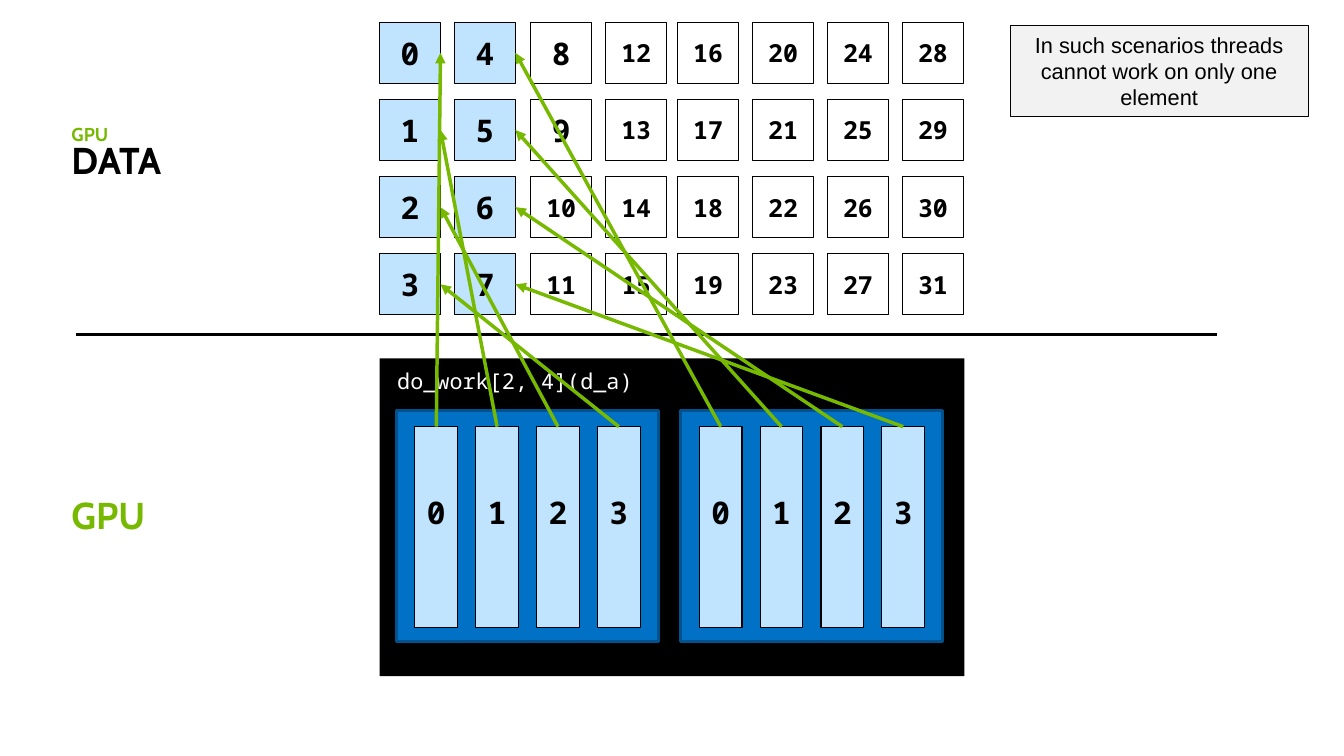
from dataclasses import dataclass

from lxml.etree import SubElement
from pptx import Presentation
from pptx.dml.color import RGBColor
from pptx.enum.shapes import MSO_CONNECTOR, MSO_SHAPE
from pptx.enum.text import MSO_ANCHOR, PP_ALIGN
from pptx.oxml.ns import qn
from pptx.util import Cm, Pt


@dataclass(frozen=True)
class Theme:
    black: str = "000000"
    white: str = "FFFFFF"
    green: str = "76B900"
    sky: str = "C0E3FE"
    blue: str = "0071C5"
    navy: str = "00528F"
    grey: str = "F2F2F2"
    mono: str = "Noto Sans Mono"
    head: str = "Cabin"
    sans: str = "Arial"
    small: int = 12
    body: int = 14
    mid: int = 16
    big: int = 20
    large: int = 24


THEME = Theme()
ROWS = 4
PAIRS = (8.61, 12.04, 15.37, 18.77)  # left edges of the column pairs
BLOCKS = (8.99, 15.44)  # left edges of the thread blocks


def write(shape, text, font, size, color, bold=False,
          align=PP_ALIGN.CENTER, anchor=MSO_ANCHOR.MIDDLE):
    frame = shape.text_frame
    frame.text = text
    frame.word_wrap = True
    frame.vertical_anchor = anchor
    para = frame.paragraphs[0]
    para.alignment = align
    for run in para.runs:
        run.font.name = font
        run.font.size = Pt(size)
        run.font.bold = bold
        run.font.color.rgb = RGBColor.from_string(color)
    return para


def add_box(slide, left, top, width, height, fill, line=None, weight=0.75):
    box = slide.shapes.add_shape(
        MSO_SHAPE.RECTANGLE, Cm(left), Cm(top), Cm(width), Cm(height))
    box.shadow.inherit = False
    box.fill.solid()
    box.fill.fore_color.rgb = RGBColor.from_string(fill)
    if line:
        box.line.color.rgb = RGBColor.from_string(line)
        box.line.width = Pt(weight)
    else:
        box.line.fill.background()
    return box


def add_digit(box, num, size, lift=0):
    """Centre a number in a box, raised by the bottom inset."""
    frame = box.text_frame
    frame.margin_left = frame.margin_right = frame.margin_top = 0
    frame.margin_bottom = Cm(lift)
    write(box, str(num), THEME.mono, size, THEME.black, bold=True)


def add_label(slide, top, height, text, size, color):
    box = slide.shapes.add_textbox(Cm(1.37), Cm(top), Cm(2.8), Cm(height))
    para = write(box, text, THEME.head, size, color, True,
                 PP_ALIGN.LEFT, MSO_ANCHOR.BOTTOM)
    para.line_spacing = 0.9


def add_line(slide, color, weight, ends=(0, 0, 0, 0)):
    line = slide.shapes.add_connector(
        MSO_CONNECTOR.STRAIGHT, *(Cm(end) for end in ends))
    line.line.color.rgb = RGBColor.from_string(color)
    line.line.width = Pt(weight)
    SubElement(line._element.spPr, qn("a:effectLst"))
    return line


def add_arrow(slide, bar, cell):
    arrow = add_line(slide, THEME.green, 2.25)
    arrow.begin_connect(bar, 0)
    arrow.end_connect(cell, 3)
    SubElement(arrow.line._get_or_add_ln(), qn("a:tailEnd"), type="triangle")


def add_cells(slide):
    """Number the data cells down each column in turn."""
    cells = []
    lefts = [left + shift for left in PAIRS for shift in (0, 1.7)]
    for col, left in enumerate(lefts):
        for row in range(ROWS):
            num = col * ROWS + row
            fill = THEME.sky if col < len(BLOCKS) else THEME.white
            cell = add_box(slide, left, 0.51 + row * 1.75, 1.38, 1.38,
                           fill, THEME.black)
            add_digit(cell, num, THEME.big if num < 10 else THEME.mid)
            cells.append(cell)
    return cells


def add_block(slide, left):
    add_box(slide, left, 9.32, 5.94, 5.23, THEME.blue, THEME.navy, 2)
    bars = []
    for num in range(ROWS):
        bar = add_box(slide, left + 0.42 + num * 1.38, 9.68, 0.97, 4.55,
                      THEME.sky, THEME.black)
        add_digit(bar, num, THEME.big, lift=0.68)
        bars.append(bar)
    return bars


def main():
    deck = Presentation()
    deck.slide_width, deck.slide_height = Cm(30.48), Cm(17.15)
    slide = deck.slides.add_slide(deck.slide_layouts[6])

    # Kernel with its thread blocks
    add_box(slide, 8.61, 8.13, 13.26, 7.21, THEME.black)
    call = add_box(slide, 8.76, 8.33, 7.77, 0.64, THEME.black)
    write(call, "do_work[2, 4](d_a)", THEME.mono, THEME.body, THEME.white,
          align=PP_ALIGN.LEFT)
    bars = [bar for left in BLOCKS for bar in add_block(slide, left)]

    # Data grid and divider
    cells = add_cells(slide)
    add_line(slide, THEME.black, 1.5, (1.73, 7.59, 27.61, 7.59))

    # Side labels
    add_label(slide, 11.15, 1.17, "GPU", THEME.large, THEME.green)
    add_label(slide, 3.1, 1.17, "DATA", THEME.large, THEME.black)
    add_label(slide, 2.72, 0.71, "GPU", THEME.small, THEME.green)

    # One arrow from each thread to its element
    for bar, cell in zip(bars, cells):
        add_arrow(slide, bar, cell)

    # Remark
    note = add_box(slide, 22.91, 0.58, 6.76, 2.06, THEME.grey, THEME.black)
    write(note, "In such scenarios threads cannot work on only one element",
          THEME.sans, THEME.body, THEME.black)

    deck.save("out.pptx")


if __name__ == "__main__":
    main()
